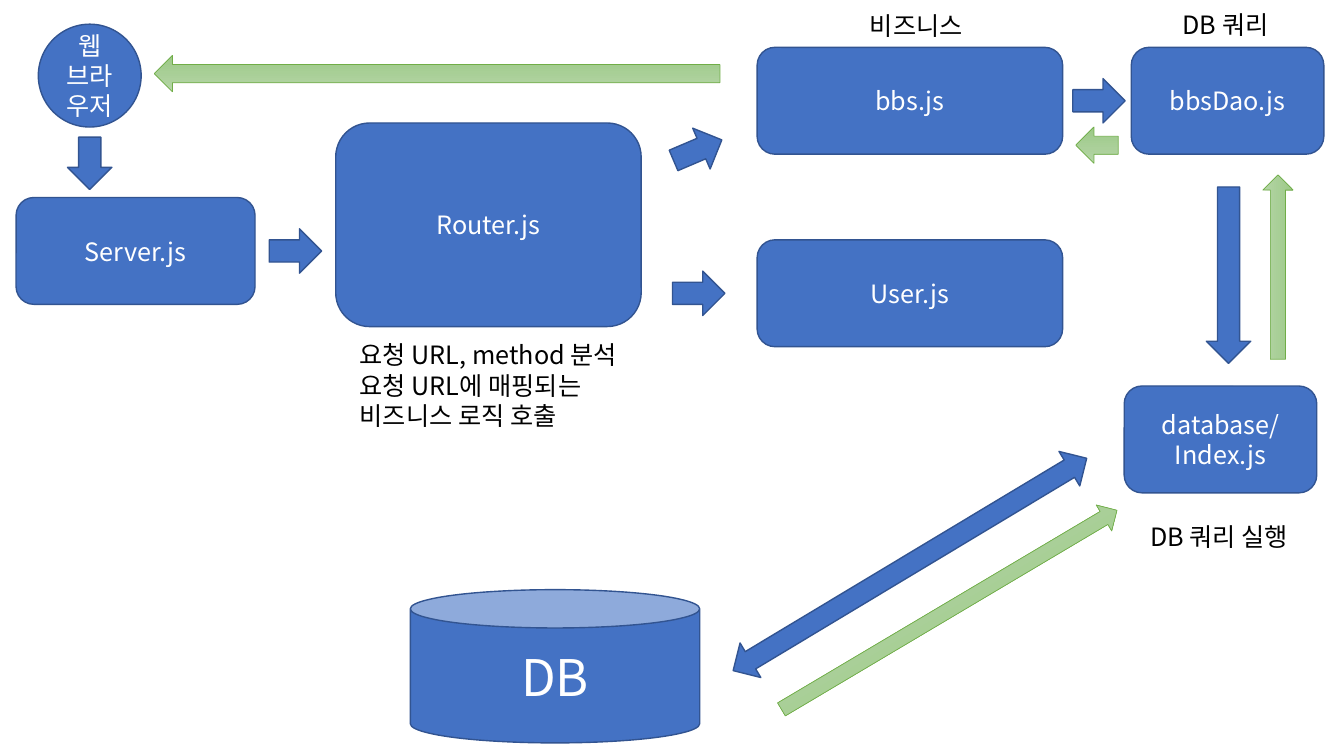
from lxml.etree import SubElement
from pptx import Presentation
from pptx.dml.color import RGBColor
from pptx.enum.shapes import MSO_SHAPE
from pptx.enum.text import MSO_ANCHOR, MSO_AUTO_SIZE, PP_ALIGN
from pptx.oxml.ns import qn
from pptx.util import Inches, Pt

FONT = "Noto Sans CJK KR"
BLUE, BLUE_LINE = "4472C4", "325491"
GREEN_TOP, GREEN_BOTTOM, GREEN_LINE = "B5D5A7", "9CC987", "70AD47"
WHITE, BLACK = "FFFFFF", "000000"

BOX, CIRCLE, CAN = MSO_SHAPE.ROUNDED_RECTANGLE, MSO_SHAPE.OVAL, MSO_SHAPE.CAN
ARROW, TWO_WAY = MSO_SHAPE.RIGHT_ARROW, MSO_SHAPE.LEFT_RIGHT_ARROW

ROW = 1.06
WIDE, NARROW = 3.03, 1.91
BUSINESS_LEFT = 7.51

NODES = [
    (CIRCLE, 0.38, 0.24, 1.02, 1.02, ["웹", "브라우저"], 18),
    (BOX, 0.16, 1.96, 2.37, ROW, ["Server.js"], 18),
    (BOX, 3.33, 1.22, WIDE, 2.02, ["Router.js"], 18),
    (BOX, BUSINESS_LEFT, 0.47, WIDE, ROW, ["bbs.js"], 18),
    (BOX, BUSINESS_LEFT, 2.38, WIDE, ROW, ["User.js"], 18),
    (BOX, 11.22, 0.47, NARROW, ROW, ["bbsDao.js"], 18),
    (BOX, 11.15, 3.83, NARROW, ROW, ["database/", "Index.js"], 18),
    (CAN, 4.07, 5.85, 2.87, 1.52, ["DB"], 36),
]

CAPTIONS = [
    (3.47, 3.32, 2.88, 1.01, ["요청 URL, method 분석", "요청 URL에 매핑되는", "비즈니스 로직 호출"]),
    (8.53, 0.05, 1.21, 0.4, ["비즈니스"]),
    (11.63, 0.04, 1.12, 0.4, ["DB 쿼리"]),
    (11.31, 5.12, 1.72, 0.4, ["DB 쿼리 실행"]),
]

SHORT = (0.52, 0.44)
REQUESTS = [
    (ARROW, 0.63, 1.4, *SHORT, 90),
    (ARROW, 2.67, 2.27, *SHORT, 0),
    (ARROW, 6.66, 1.27, *SHORT, 336.9),
    (ARROW, 6.67, 2.69, *SHORT, 0),
    (ARROW, 10.64, 0.78, *SHORT, 0),
    (ARROW, 11.31, 2.51, 1.75, 0.44, 90),
    (TWO_WAY, 6.98, 5.4, 4.09, 0.4, 329),
]
RESPONSES = [
    (ARROW, 7.48, 5.9, 3.87, 0.3, 329.3),
    (ARROW, 11.76, 2.5, 1.83, 0.3, 270),
    (ARROW, 10.67, 1.26, 0.42, 0.36, 180),
    (ARROW, 1.53, 0.55, 5.61, 0.36, 180),
]


def color(value):
    return RGBColor.from_string(value)


def write(shape, lines, size, text_color, align, **frame_format):
    frame = shape.text_frame
    for name, value in frame_format.items():
        setattr(frame, name, value)
    for index, line in enumerate(lines):
        paragraph = frame.add_paragraph() if index else frame.paragraphs[0]
        paragraph.alignment = align
        run = paragraph.add_run()
        run.text = line
        for name, value in {"name": FONT, "size": Pt(size)}.items():
            setattr(run.font, name, value)
        run.font.color.rgb = color(text_color)
        SubElement(run.font._element, qn("a:ea"), typeface=FONT)


def add_blue(kind, *box, rotation=0):
    shape = slide.shapes.add_shape(kind, *map(Inches, box))
    shape.shadow.inherit = False
    shape.rotation = rotation
    shape.fill.solid()
    shape.fill.fore_color.rgb = color(BLUE)
    shape.line.color.rgb = color(BLUE_LINE)
    shape.line.width = Pt(1)
    return shape


def add_green(kind, *box, rotation):
    shape = add_blue(kind, *box, rotation=rotation)
    shape.fill.gradient()
    shape.fill.gradient_angle = 270
    for stop, value in zip(shape.fill.gradient_stops, (GREEN_TOP, GREEN_BOTTOM)):
        stop.color.rgb = color(value)
    shape.line.color.rgb = color(GREEN_LINE)
    shape.line.width = Pt(0.5)


presentation = Presentation()
presentation.slide_width, presentation.slide_height = Inches(13.33), Inches(7.5)
slide = presentation.slides.add_slide(presentation.slide_layouts[6])

for kind, *box, lines, size in NODES:
    write(add_blue(kind, *box), lines, size, WHITE, PP_ALIGN.CENTER,
          vertical_anchor=MSO_ANCHOR.MIDDLE, word_wrap=True)
for *box, lines in CAPTIONS:
    write(slide.shapes.add_textbox(*map(Inches, box)), lines, 18, BLACK, PP_ALIGN.LEFT,
          word_wrap=False, auto_size=MSO_AUTO_SIZE.SHAPE_TO_FIT_TEXT)
for *arrow, rotation in REQUESTS:
    add_blue(*arrow, rotation=rotation)
for *arrow, rotation in RESPONSES:
    add_green(*arrow, rotation=rotation)

presentation.save("out.pptx")
